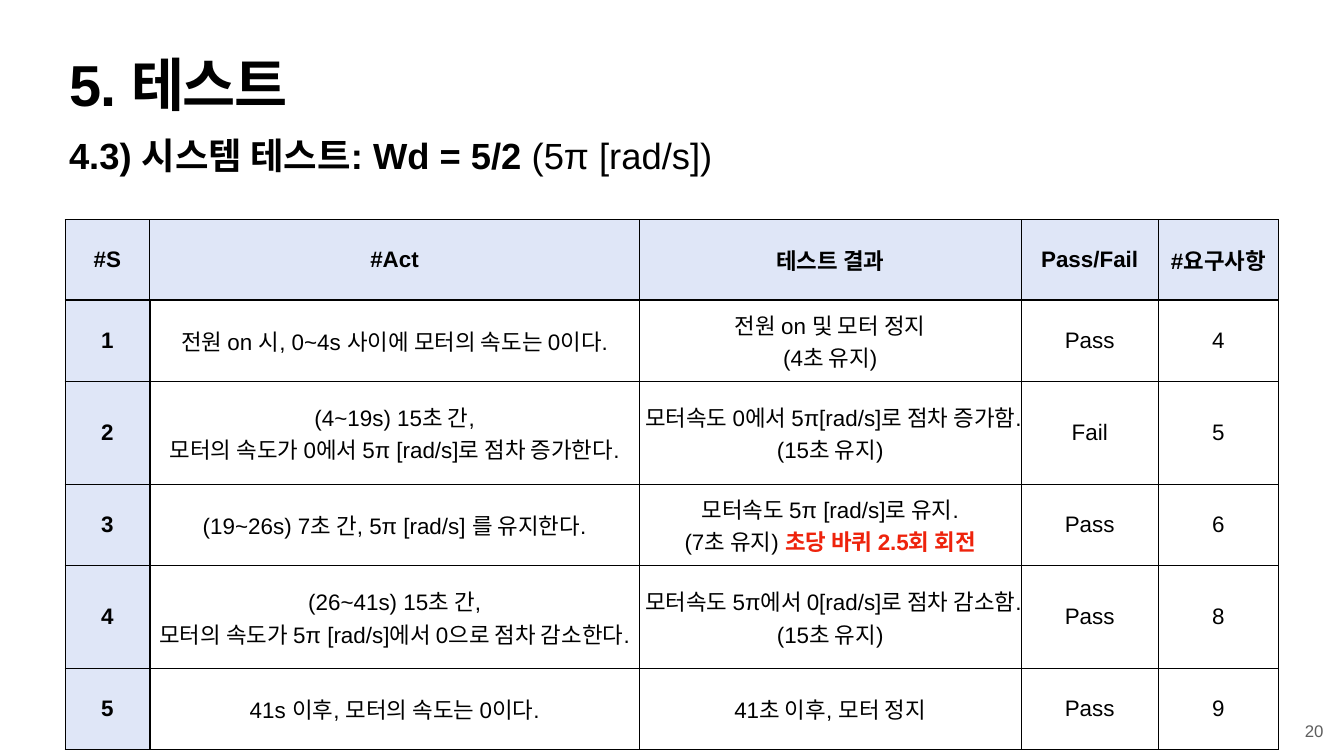
from dataclasses import dataclass

from lxml import etree
from pptx import Presentation
from pptx import util as u
from pptx.dml.color import RGBColor
from pptx.enum import text
from pptx.oxml.ns import qn

PX = 9144  # EMU per px, 100 px to the inch
BLACK, RED, GREY, HEADER_FILL = "000000", "EE230C", "5E5E5E", "DFE6F7"
LEFT, CENTER = text.PP_ALIGN.LEFT, text.PP_ALIGN.CENTER
TOP, MIDDLE = text.MSO_ANCHOR.TOP, text.MSO_ANCHOR.MIDDLE


@dataclass(frozen=True)
class Style:
    size: float
    bold: bool = False
    color: str = BLACK


@dataclass(frozen=True)
class Piece:
    words: str
    style: Style


@dataclass(frozen=True)
class TestStep:
    number: str
    action: list[list[Piece]]
    result: list[list[Piece]]
    verdict: str
    requirement: str


CELL, HEAD, ALERT = Style(32), Style(32, True), Style(32, True, RED)


def rgb(value: str) -> RGBColor:
    return RGBColor.from_string(value)


def px(length: int) -> int:
    return u.Emu(length * PX)


def lines(*words: str, style: Style = CELL) -> list[list[Piece]]:
    """One paragraph of a single run for each string."""
    return [[Piece(line, style)] for line in words]


def write(frame, paragraphs: list[list[Piece]], align) -> None:
    for index, pieces in enumerate(paragraphs):
        paragraph = frame.paragraphs[0] if index == 0 else frame.add_paragraph()
        paragraph.alignment = align
        paragraph.space_before = u.Pt(0)
        for piece in pieces:
            run = paragraph.add_run()
            run.text = piece.words
            run.font.name = "Arial"
            run.font.size = u.Pt(piece.style.size)
            run.font.bold = piece.style.bold
            run.font.color.rgb = rgb(piece.style.color)


def set_frame(frame, inset: int, anchor, wrap: bool = True) -> None:
    frame.auto_size = text.MSO_AUTO_SIZE.NONE
    frame.word_wrap = wrap
    frame.vertical_anchor = anchor
    frame.margin_left = frame.margin_right = px(inset)
    frame.margin_top = frame.margin_bottom = px(inset)


def place(shape, left: int, top: int, width: int, height: int) -> None:
    shape.left, shape.top = px(left), px(top)
    shape.width, shape.height = px(width), px(height)


def set_borders(cell, right: float, bottom: float) -> None:
    properties = cell._tc.get_or_add_tcPr()
    widths = {"a:lnL": 1, "a:lnR": right, "a:lnT": 1, "a:lnB": bottom}
    for index, (tag, width) in enumerate(widths.items()):
        line = etree.Element(qn(tag), w=str(u.Pt(width)))
        fill = etree.SubElement(line, qn("a:solidFill"))
        etree.SubElement(fill, qn("a:srgbClr"), val=BLACK)
        properties.insert(index, line)


def fill_cell(cell, paragraphs: list[list[Piece]], is_header: bool, is_label: bool) -> None:
    cell.vertical_anchor = MIDDLE
    cell.margin_left = cell.margin_right = px(6)
    cell.margin_top = cell.margin_bottom = px(6)
    write(cell.text_frame, paragraphs, CENTER)
    if is_header or is_label:
        cell.fill.solid()
        cell.fill.fore_color.rgb = rgb(HEADER_FILL)
    else:
        cell.fill.background()
    set_borders(cell, right=3 if is_label else 1, bottom=3 if is_header else 1)


HEADINGS = ["#S", "#Act", "테스트 결과", "Pass/Fail", "#요구사항"]
COLUMN_WIDTHS = [168, 972, 757, 273, 238]
ROW_HEIGHT = 160
STEPS = [
    TestStep("1", lines("전원 on 시, 0~4s 사이에 모터의 속도는 0이다."),
             lines("전원 on 및 모터 정지", "(4초 유지)"), "Pass", "4"),
    TestStep("2", lines("(4~19s) 15초 간,", "모터의 속도가 0에서 5π [rad/s]로 점차 증가한다."),
             lines("모터속도 0에서 5π[rad/s]로 점차 증가함.", "(15초 유지)"), "Fail", "5"),
    TestStep("3", lines("(19~26s) 7초 간, 5π [rad/s] 를 유지한다."),
             lines("모터속도 5π [rad/s]로 유지.")
             + [[Piece("(7초 유지) ", CELL), Piece("초당 바퀴 2.5회 회전", ALERT)]], "Pass", "6"),
    TestStep("4", lines("(26~41s) 15초 간,", "모터의 속도가 5π [rad/s]에서 0으로 점차 감소한다."),
             lines("모터속도 5π에서 0[rad/s]로 점차 감소함.", "(15초 유지)"), "Pass", "8"),
    TestStep("5", lines("41s 이후, 모터의 속도는 0이다."),
             lines("41초 이후, 모터 정지"), "Pass", "9"),
]


def add_headings(slide) -> None:
    title, subtitle = slide.shapes.title, slide.placeholders[1]
    place(title, 132, 118, 2403, 157)
    set_frame(title.text_frame, 6, TOP)
    write(title.text_frame, lines("5. 테스트", style=Style(82.5, True)), LEFT)
    heading = title.text_frame.paragraphs[0]
    heading.line_spacing = 0.8
    heading.runs[0].font._element.set("spc", "-190")

    place(subtitle, 132, 260, 2403, 102)
    set_frame(subtitle.text_frame, 5, TOP)
    # No bullet or indent on the subtitle
    properties = subtitle.text_frame.paragraphs[0]._p.get_or_add_pPr()
    properties.set("marL", "0")
    properties.set("indent", "0")
    etree.SubElement(properties, qn("a:buNone"))
    write(subtitle.text_frame, [[Piece("4.3) 시스템 테스트: Wd = 5/2 ", Style(52, True)),
                                 Piece("(5π [rad/s])", Style(52))]], LEFT)


def add_test_table(slide) -> None:
    rows = [[lines(heading, style=HEAD) for heading in HEADINGS]]
    rows += [[lines(step.number, style=HEAD), step.action, step.result,
              lines(step.verdict), lines(step.requirement)] for step in STEPS]
    table = slide.shapes.add_table(len(rows), len(HEADINGS), px(129), px(436),
                                   px(sum(COLUMN_WIDTHS)), px(ROW_HEIGHT * len(rows))).table
    for column, width in zip(table.columns, COLUMN_WIDTHS):
        column.width = px(width)
    for row_index, row in enumerate(rows):
        table.rows[row_index].height = px(ROW_HEIGHT)
        for column_index, paragraphs in enumerate(row):
            is_header = row_index == 0
            fill_cell(table.cell(row_index, column_index), paragraphs, is_header,
                      column_index == 0 and not is_header)


def add_page_number(slide) -> None:
    box = slide.shapes.add_textbox(px(2583), px(1425), px(50), px(50))
    set_frame(box.text_frame, 6, MIDDLE, wrap=False)
    write(box.text_frame, lines("20", style=Style(24, color=GREY)), CENTER)


def main() -> None:
    presentation = Presentation()
    presentation.slide_width, presentation.slide_height = px(2667), px(1500)
    slide = presentation.slides.add_slide(presentation.slide_layouts[1])
    add_headings(slide)
    add_test_table(slide)
    add_page_number(slide)
    presentation.save("out.pptx")


if __name__ == "__main__":
    main()
